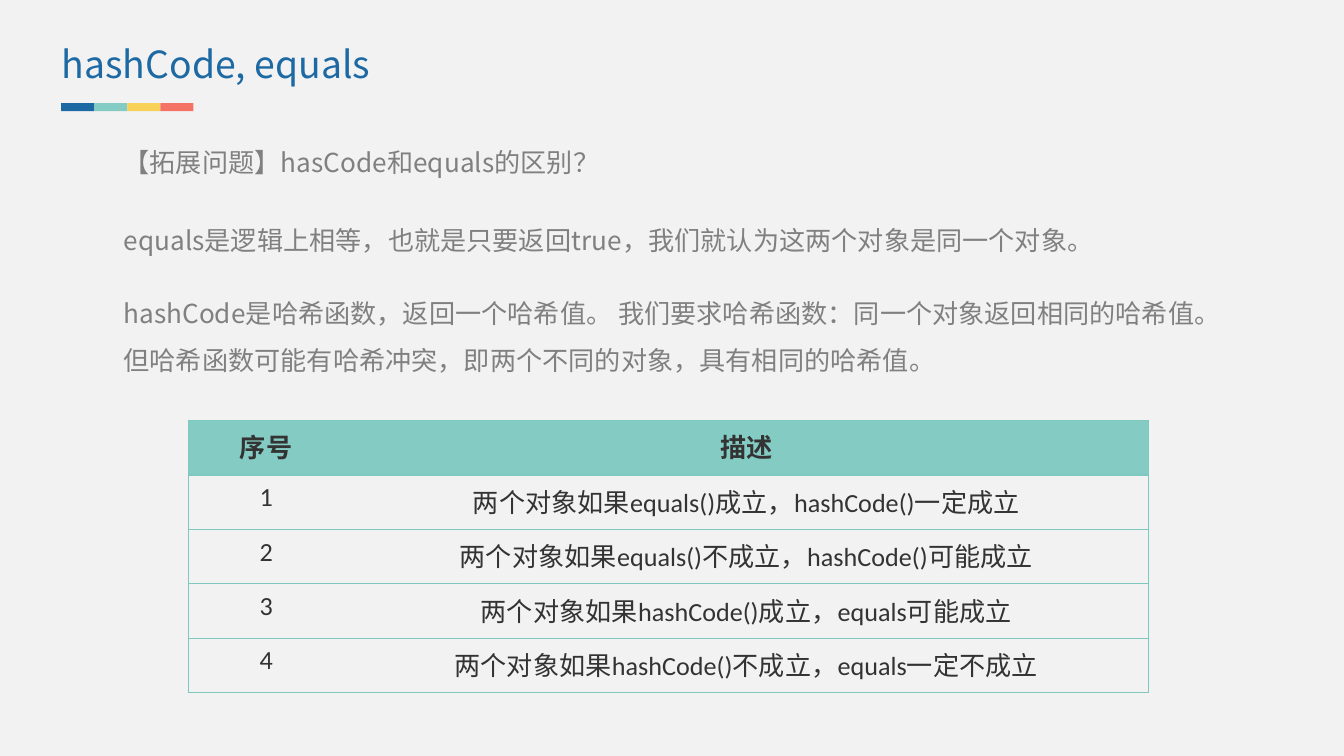
import lxml.etree
import pptx
import pptx.dml.color
import pptx.enum.shapes
import pptx.enum.text
import pptx.oxml.ns
import pptx.util

COLUMNS = 100
ROWS = 56.25
SLIDE_WIDTH = pptx.util.Inches(10)
SLIDE_HEIGHT = SLIDE_WIDTH * 9 // 16

SANS = "Noto Sans CJK SC"
BLUE = "1D69A3"
TEAL = "84CBC3"
YELLOW = "F8D158"
CORAL = "F57365"
GRAY = "808080"
DARK = "333333"
BORDER = "7FC8C0"
BACKGROUND = "F2F2F2"


def color(value):
    return pptx.dml.color.RGBColor.from_string(value)


def grid_box(left, top, width, height):
    column = SLIDE_WIDTH / COLUMNS
    row = SLIDE_HEIGHT / ROWS
    return tuple(round(length) for length in (left * column, top * row, width * column, height * row))


def add_run(paragraph, text, size, font_color, latin=SANS, bold=False):
    run = paragraph.add_run()
    run.text = text
    run.font.size = pptx.util.Pt(size)
    run.font.name = latin
    run.font.bold = bold
    run.font.color.rgb = color(font_color)
    east_asian = lxml.etree.SubElement(run._r.get_or_add_rPr(), pptx.oxml.ns.qn("a:ea"))
    east_asian.set("typeface", SANS)


def add_title(slide, box, text):
    frame = slide.shapes.add_textbox(*box).text_frame
    frame.word_wrap = True
    frame.margin_left = frame.margin_top = frame.margin_right = frame.margin_bottom = 0
    add_run(frame.paragraphs[0], text, 20, BLUE)


def add_color_strip(slide, box, fills):
    left, top, width, height = box
    segment = width / len(fills)
    for index, fill in enumerate(fills):
        shape = slide.shapes.add_shape(
            pptx.enum.shapes.MSO_SHAPE.RECTANGLE,
            round(left + index * segment), top, round(segment), height)
        shape.shadow.inherit = False
        shape.fill.solid()
        shape.fill.fore_color.rgb = color(fill)
        shape.line.fill.background()


def add_body(slide, box, lines):
    frame = slide.shapes.add_textbox(*box).text_frame
    frame.word_wrap = True
    for index, line in enumerate(lines):
        paragraph = frame.add_paragraph() if index else frame.paragraphs[0]
        paragraph.line_spacing = 1.5
        add_run(paragraph, line, 14, GRAY)


def set_borders(cell, visible):
    properties = cell._tc.get_or_add_tcPr()
    for position, side in enumerate(("L", "R", "T", "B")):
        line = lxml.etree.Element(pptx.oxml.ns.qn("a:ln" + side))
        line.set("w", str(pptx.util.Pt(0.75)))
        if side in visible:
            fill = lxml.etree.SubElement(line, pptx.oxml.ns.qn("a:solidFill"))
            lxml.etree.SubElement(fill, pptx.oxml.ns.qn("a:srgbClr")).set("val", BORDER)
        else:
            lxml.etree.SubElement(line, pptx.oxml.ns.qn("a:noFill"))
        properties.insert(position, line)


def add_rules_table(slide, box, headings, descriptions):
    records = [headings] + [(str(number), text) for number, text in enumerate(descriptions, 1)]
    table = slide.shapes.add_table(len(records), len(headings), *box).table
    table.horz_banding = False
    first_width = round(box[2] * 0.1625)
    table.columns[0].width = first_width
    table.columns[1].width = box[2] - first_width
    for row_index, record in enumerate(records):
        table.rows[row_index].height = round(box[3] / len(records))
        heading = row_index == 0
        for column_index, text in enumerate(record):
            cell = table.cell(row_index, column_index)
            if heading:
                cell.fill.solid()
                cell.fill.fore_color.rgb = color(TEAL)
            else:
                cell.fill.background()
            set_borders(cell, "TB" + "LR"[column_index])
            paragraph = cell.text_frame.paragraphs[0]
            paragraph.alignment = pptx.enum.text.PP_ALIGN.CENTER
            add_run(paragraph, text, 14, DARK, "Calibri", heading)


def main():
    presentation = pptx.Presentation()
    presentation.slide_width = SLIDE_WIDTH
    presentation.slide_height = SLIDE_HEIGHT
    slide = presentation.slides.add_slide(presentation.slide_layouts[6])
    slide.background.fill.solid()
    slide.background.fill.fore_color.rgb = color(BACKGROUND)

    add_title(slide, grid_box(4.6, 3.04, 30.4, 3.4), "hashCode, equals")
    add_color_strip(slide, grid_box(4.55, 7.67, 9.85, 0.6), (BLUE, TEAL, YELLOW, CORAL))
    add_body(slide, grid_box(8.22, 9.24, 41.4, 4.1), ["【拓展问题】hasCode和equals的区别？"])
    add_body(slide, grid_box(8.22, 15.04, 73.8, 4.1), [
        "equals是逻辑上相等，也就是只要返回true，我们就认为这两个对象是同一个对象。"])
    add_body(slide, grid_box(8.22, 20.5, 86, 7.7), [
        "hashCode是哈希函数，返回一个哈希值。 我们要求哈希函数：同一个对象返回相同的哈希值。",
        "但哈希函数可能有哈希冲突，即两个不同的对象，具有相同的哈希值。"])
    add_rules_table(slide, grid_box(14, 31.3, 71.45, 20.25), ("序号", "描述"), [
        "两个对象如果equals()成立，hashCode()一定成立",
        "两个对象如果equals()不成立，hashCode()可能成立",
        "两个对象如果hashCode()成立，equals可能成立",
        "两个对象如果hashCode()不成立，equals一定不成立"])
    presentation.save("out.pptx")


if __name__ == "__main__":
    main()
